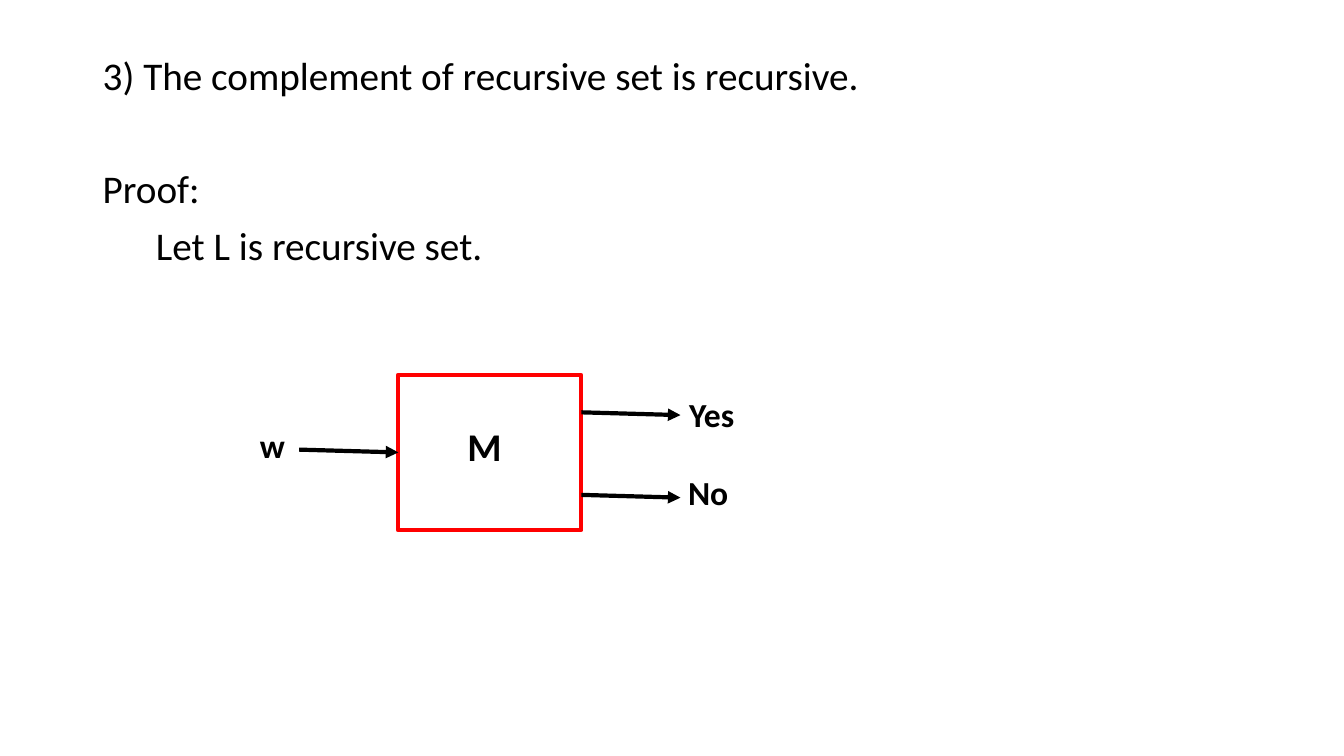
"""Build a slide on why the complement of a recursive set is recursive."""
from lxml import etree
from pptx import Presentation
from pptx.dml.color import RGBColor
from pptx.enum.shapes import MSO_CONNECTOR, MSO_SHAPE
from pptx.oxml.ns import qn
from pptx.util import Cm, Pt

BLACK = RGBColor(0, 0, 0)
RED = RGBColor(255, 0, 0)
RECT = MSO_SHAPE.RECTANGLE
LINE = MSO_CONNECTOR.STRAIGHT


def add_frame(left, top, width, height):
    box = slide.shapes.add_textbox(Cm(left), Cm(top), Cm(width), Cm(height))
    box.text_frame.word_wrap = True
    return box.text_frame


def add_run(para, text, size, bold=False):
    run = para.add_run()
    run.text = text
    run.font.name = "Calibri"
    run.font.size = Pt(size)
    run.font.bold = bold
    run.font.color.rgb = BLACK


deck = Presentation()
deck.slide_width = Cm(33.87)
deck.slide_height = Cm(19.05)
slide = deck.slides.add_slide(deck.slide_layouts[6])

proof = add_frame(2.34, 1.3, 29.2, 17.35)
for row, (text, space, indent) in enumerate([
    ("3) The complement of recursive set is recursive.", 0, 0),
    ("Proof:", 50.8, 0),
    ("Let L is recursive set.", 10, 1.34),
]):
    para = proof.add_paragraph() if row else proof.paragraphs[0]
    para.line_spacing = 0.9
    para.space_before = Pt(space)
    para._p.get_or_add_pPr().set("marL", str(Cm(indent)))
    add_run(para, text, 28)

machine = slide.shapes.add_shape(RECT, Cm(10.03), Cm(9.45), Cm(4.62), Cm(3.91))
machine.shadow.inherit = False
machine.fill.background()
machine.line.color.rgb = RED
machine.line.width = Pt(3)

for text, left, top, width, height, size in [
    ("M", 11.53, 10.52, 2.01, 1.45, 28),
    ("w", 6.3, 10.59, 1.09, 1.27, 24),
    ("Yes", 17.12, 9.8, 2.18, 1.27, 24),
    ("No", 17.09, 11.76, 2.18, 1.27, 24),
]:
    label = add_frame(left, top, width, height)
    add_run(label.paragraphs[0], text, size, True)

for left, top in [(7.54, 11.33), (14.65, 10.39), (14.65, 12.47)]:
    arrow = slide.shapes.add_connector(
        LINE, Cm(left), Cm(top), Cm(left + 2.5), Cm(top + 0.07))
    arrow.line.color.rgb = BLACK
    arrow.line.width = Pt(3)
    head = etree.SubElement(arrow.line._get_or_add_ln(), qn("a:tailEnd"))
    head.set("type", "triangle")
    etree.SubElement(arrow._element.spPr, qn("a:effectLst"))

deck.save("out.pptx")
